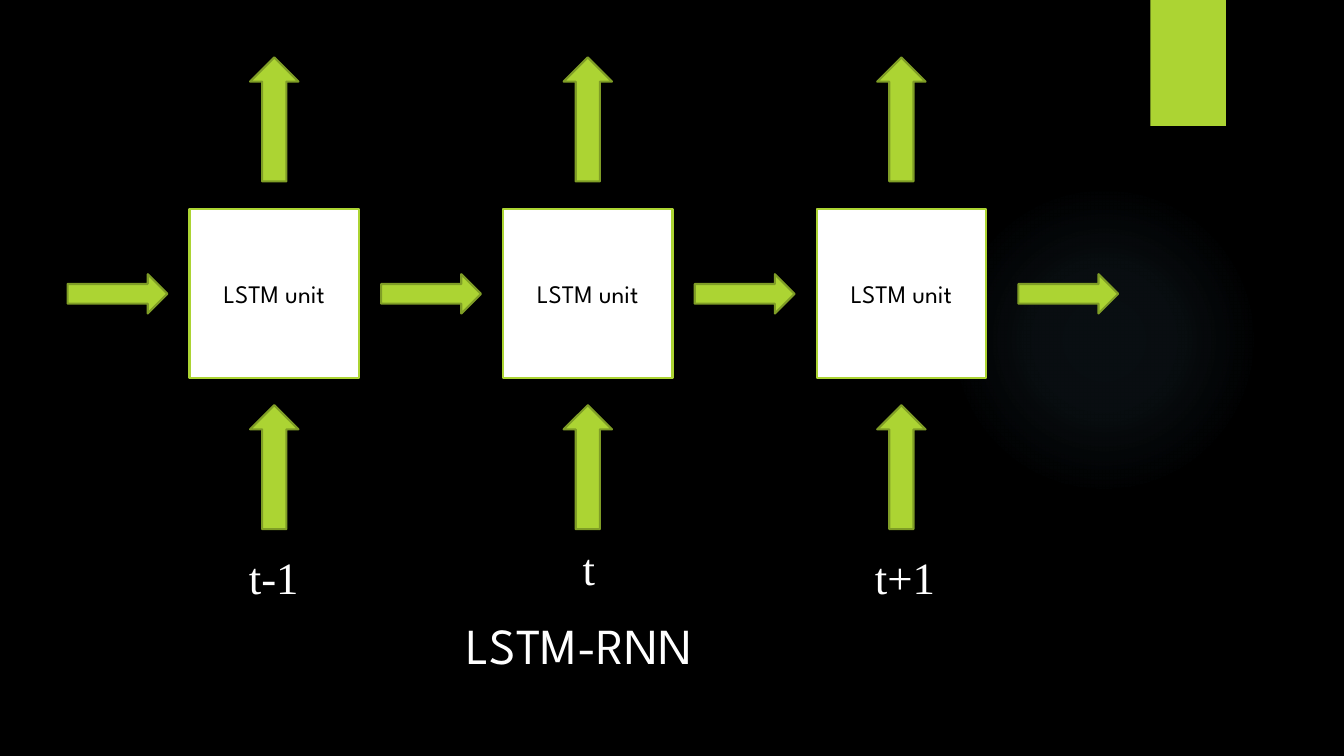
from lxml.etree import SubElement
from pptx import Presentation
from pptx.dml.color import RGBColor
from pptx.enum.shapes import MSO_SHAPE
from pptx.enum.text import MSO_ANCHOR, MSO_AUTO_SIZE, PP_ALIGN
from pptx.oxml.ns import qn
from pptx.util import Emu, Pt

BLACK = RGBColor(0x00, 0x00, 0x00)
WHITE = RGBColor(0xFF, 0xFF, 0xFF)
LIME = RGBColor(0xAC, 0xD4, 0x33)
OLIVE = RGBColor(0x7F, 0x9D, 0x26)
SKY = RGBColor(0x7A, 0xC4, 0xF0)

PX = 9144
STEP = 311
SANS = "League Spartan"
SERIF = "Times New Roman"


class Diagram:
    """Draws styled elements on one slide, with lengths in px of 1/100 inch."""

    def __init__(self, slide):
        self.slide = slide
        slide.background.fill.solid()
        slide.background.fill.fore_color.rgb = BLACK

    def shape(self, kind, box, fill, line=None):
        shape = self.slide.shapes.add_shape(kind, *(Emu(n * PX) for n in box))
        shape.shadow.inherit = False
        shape.fill.solid()
        shape.fill.fore_color.rgb = fill
        if line is None:
            shape.line.fill.background()
        else:
            shape.line.color.rgb = line
            shape.line.width = Pt(1.5)
        return shape

    def glow(self, box, color, stops):
        shape = self.shape(MSO_SHAPE.OVAL, box, color)
        properties = shape.element.spPr
        solid = properties.find(qn("a:solidFill"))
        gradient = SubElement(properties, qn("a:gradFill"), rotWithShape="1")
        properties.replace(solid, gradient)
        stop_list = SubElement(gradient, qn("a:gsLst"))
        for position, opacity in stops:
            stop = SubElement(stop_list, qn("a:gs"), pos=str(position * 1000))
            stop_color = SubElement(stop, qn("a:srgbClr"), val=str(color))
            SubElement(stop_color, qn("a:alpha"), val=str(opacity * 1000))
        circle = SubElement(gradient, qn("a:path"), path="circle")
        center = dict.fromkeys(("l", "t", "r", "b"), "50000")
        SubElement(circle, qn("a:fillToRect"), **center)

    def arrow(self, kind, box):
        self.shape(kind, box, LIME, OLIVE)

    def unit(self, box):
        shape = self.shape(MSO_SHAPE.RECTANGLE, box, WHITE, LIME)
        self.set_text(shape, "LSTM unit", SANS, 18, BLACK, PP_ALIGN.CENTER, MSO_ANCHOR.MIDDLE)

    def label(self, text, box):
        shape = self.slide.shapes.add_textbox(*(Emu(n * PX) for n in box))
        self.fit(shape)
        self.set_text(shape, text, SERIF, 32, WHITE)

    def title(self, text, box):
        shape = self.slide.shapes.title
        for name, value in zip(("left", "top", "width", "height"), box):
            setattr(shape, name, Emu(value * PX))
        self.fit(shape)
        self.set_text(shape, text, SANS, 36, WHITE)

    def fit(self, shape):
        frame_format = {"word_wrap": False, "auto_size": MSO_AUTO_SIZE.SHAPE_TO_FIT_TEXT}
        for name, value in frame_format.items():
            setattr(shape.text_frame, name, value)

    def set_text(self, shape, text, font, size, color, align=PP_ALIGN.LEFT, anchor=MSO_ANCHOR.TOP):
        shape.text_frame.vertical_anchor = anchor
        paragraph = shape.text_frame.paragraphs[0]
        paragraph.alignment = align
        run = paragraph.add_run()
        run.text = text
        for name, value in {"name": font, "size": Pt(size)}.items():
            setattr(run.font, name, value)
        run.font.color.rgb = color


def main():
    presentation = Presentation()
    presentation.slide_width = Emu(1333 * PX)
    presentation.slide_height = Emu(750 * PX)
    diagram = Diagram(presentation.slides.add_slide(presentation.slide_layouts[5]))

    diagram.glow((941, 183, 308, 308), SKY, ((0, 7), (36, 6), (69, 0)))
    diagram.shape(MSO_SHAPE.RECTANGLE, (1141, 0, 75, 125), LIME)

    time_labels = (
        ("t-1", (237, 540, 71, 64)),
        ("t", (568, 532, 29, 64)),
        ("t+1", (858, 540, 86, 64)),
    )
    for index, (text, label_box) in enumerate(time_labels):
        offset = index * STEP
        diagram.unit((188 + offset, 207, 168, 168))
        for top in (402, 57):
            diagram.arrow(MSO_SHAPE.UP_ARROW, (248 + offset, top, 48, 123))
        diagram.arrow(MSO_SHAPE.RIGHT_ARROW, (67 + offset, 272, 99, 39))
        diagram.label(text, label_box)
    diagram.arrow(MSO_SHAPE.RIGHT_ARROW, (1010, 272, 99, 39))

    diagram.title("LSTM-RNN", (453, 604, 260, 71))
    presentation.save("out.pptx")


if __name__ == "__main__":
    main()
